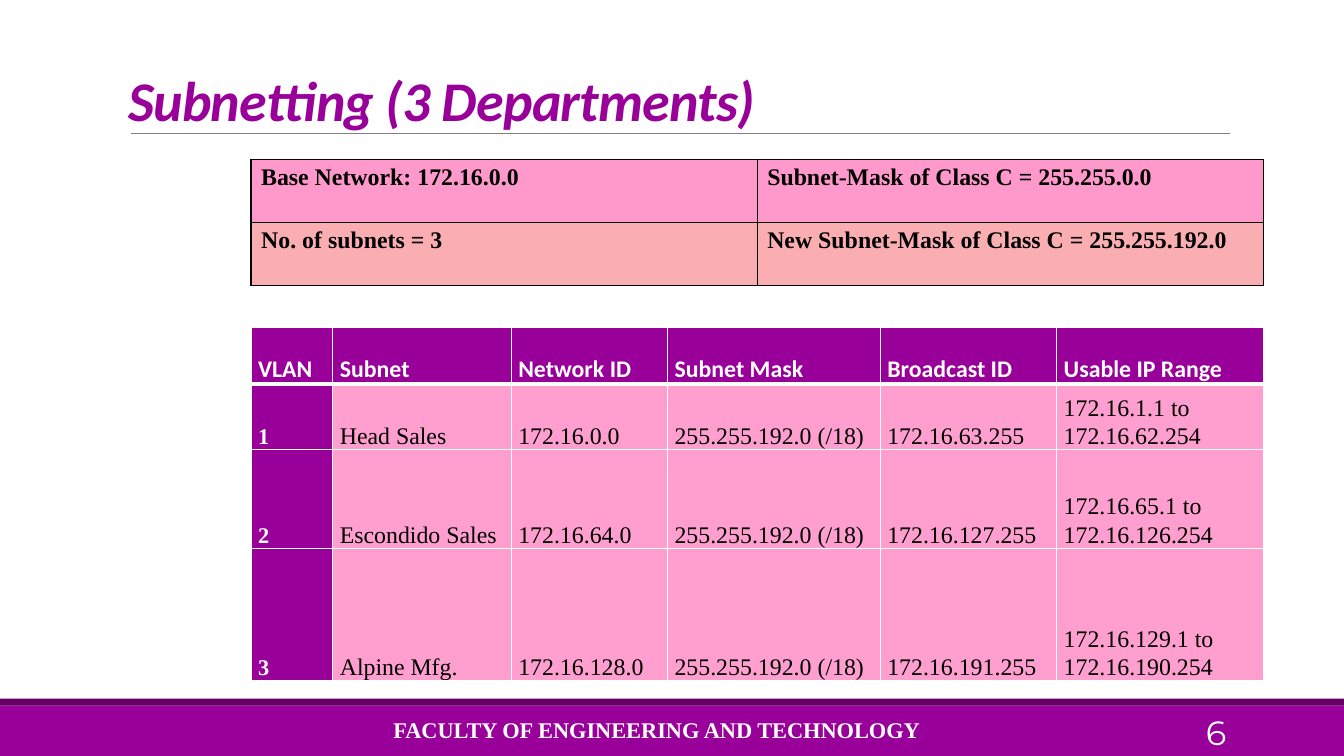
from dataclasses import dataclass

from lxml import etree
from pptx import Presentation
from pptx.dml.color import RGBColor
from pptx.enum.shapes import MSO_CONNECTOR, MSO_SHAPE
from pptx.enum.text import MSO_ANCHOR, MSO_AUTO_SIZE, PP_ALIGN
from pptx.oxml.ns import qn
from pptx.slide import Slide
from pptx.table import _Cell
from pptx.text.text import TextFrame, _Paragraph
from pptx.util import Inches, Pt

RECTANGLE = MSO_SHAPE.RECTANGLE
STRAIGHT = MSO_CONNECTOR.STRAIGHT
TOP, MIDDLE, BOTTOM = MSO_ANCHOR.TOP, MSO_ANCHOR.MIDDLE, MSO_ANCHOR.BOTTOM
LEFT, CENTER, RIGHT = PP_ALIGN.LEFT, PP_ALIGN.CENTER, PP_ALIGN.RIGHT

PURPLE = RGBColor(0x99, 0x00, 0x99)
DARK_PURPLE = RGBColor(0x66, 0x00, 0x66)
PINK = RGBColor(0xFF, 0x99, 0xCC)
SALMON = RGBColor(0xFB, 0xAE, 0xB2)
LIGHT_PINK = RGBColor(0xFF, 0x9F, 0xCF)
GREY = RGBColor(0x80, 0x80, 0x80)
BLACK = RGBColor(0, 0, 0)
WHITE = RGBColor(0xFF, 0xFF, 0xFF)

SLIDE_WIDTH, SLIDE_HEIGHT = Inches(13.33), Inches(7.5)
TABLE_LEFT = 18.68


@dataclass(frozen=True)
class Style:
    font: str
    size: float
    color: RGBColor
    bold: bool = False
    italic: bool = False


@dataclass(frozen=True)
class Area:
    """A rectangle in percent of the slide's width and height."""
    left: float
    top: float
    width: float
    height: float

    def box(self) -> tuple[int, int, int, int]:
        return across(self.left), down(self.top), across(self.width), down(self.height)


@dataclass(frozen=True)
class CellLook:
    style: Style
    fill: RGBColor
    top_border: float = 1
    bottom_border: float = 1


@dataclass(frozen=True)
class TableLook:
    border: RGBColor
    anchor: MSO_ANCHOR
    side_margin: float
    end_margin: float
    line_spacing: float


@dataclass(frozen=True)
class Band:
    area: Area
    color: RGBColor


@dataclass(frozen=True)
class FooterText:
    text: str
    area: Area
    align: PP_ALIGN
    style: Style


TITLE = Style("Calibri", 40, PURPLE, bold=True, italic=True)
SUMMARY = Style("Times New Roman", 17, BLACK, bold=True)
HEADER = CellLook(Style("Calibri", 17, WHITE, bold=True), PURPLE, bottom_border=3)
VLAN = Style("Times New Roman", 16, WHITE, bold=True)
ADDRESS = Style("Times New Roman", 17, BLACK)

SUMMARY_LOOK = TableLook(BLACK, TOP, 0.1, 0.05, 1)
SUBNET_LOOK = TableLook(WHITE, BOTTOM, 0.07, 0, 1.06)

BANDS = (
    Band(Area(0, 93.33, 100, 6.67), PURPLE),
    Band(Area(0, 92.4, 100, 0.93), DARK_PURPLE),
)
FOOTER = (
    FooterText("FACULTY OF ENGINEERING AND TECHNOLOGY", Area(27.98, 93.87, 41.79, 5.33),
               CENTER, Style("Times New Roman", 16, WHITE, bold=True)),
    FooterText("6", Area(81.25, 94.13, 10.73, 5.33), RIGHT, Style("Montserrat", 24, WHITE)),
)
SUMMARY_ROWS = (
    ("Base Network: 172.16.0.0", "Subnet-Mask of Class C = 255.255.0.0"),
    ("No. of subnets = 3", "New Subnet-Mask of Class C = 255.255.192.0"),
)
MASK = "255.255.192.0 (/18)"
SUBNET_ROWS = (
    ("VLAN", "Subnet", "Network ID", "Subnet Mask", "Broadcast ID", "Usable IP Range"),
    ("1", "Head Sales", "172.16.0.0", MASK, "172.16.63.255", "172.16.1.1 to 172.16.62.254"),
    ("2", "Escondido Sales", "172.16.64.0", MASK, "172.16.127.255",
     "172.16.65.1 to 172.16.126.254"),
    ("3", "Alpine Mfg.", "172.16.128.0", MASK, "172.16.191.255",
     "172.16.129.1 to 172.16.190.254"),
)


def across(percent: float) -> int:
    return round(SLIDE_WIDTH * percent / 100)


def down(percent: float) -> int:
    return round(SLIDE_HEIGHT * percent / 100)


def add_span(para: _Paragraph, text: str, style: Style) -> None:
    span = para.add_run()
    span.text = text
    span.font.name, span.font.size = style.font, Pt(style.size)
    span.font.bold, span.font.italic = style.bold, style.italic
    span.font.color.rgb = style.color


def fill_frame(frame: TextFrame, text: str, style: Style, anchor: MSO_ANCHOR,
               align: PP_ALIGN) -> _Paragraph:
    frame.word_wrap, frame.auto_size = True, MSO_AUTO_SIZE.NONE
    frame.vertical_anchor = anchor
    para = frame.paragraphs[0]
    para.alignment = align
    add_span(para, text, style)
    return para


def add_title(page: Slide, text: str) -> None:
    title = page.shapes.title
    title.left, title.top, title.width, title.height = Area(8.78, 5.07, 82.52, 13.2).box()
    para = fill_frame(title.text_frame, text, TITLE, BOTTOM, LEFT)
    para.line_spacing = 0.85
    para.runs[0].font._element.set("spc", "-50")


def add_rule(page: Slide) -> None:
    rule = page.shapes.add_connector(STRAIGHT, across(9.75), down(17.6), across(91.52), down(17.6))
    rule.line.color.rgb, rule.line.width = GREY, Pt(0.5)
    etree.SubElement(rule._element.spPr, qn("a:effectLst"))


def add_band(page: Slide, band: Band) -> None:
    box = page.shapes.add_shape(RECTANGLE, *band.area.box())
    box.shadow.inherit = False
    box.fill.solid()
    box.fill.fore_color.rgb = band.color
    box.line.fill.background()


def add_footer_text(page: Slide, item: FooterText) -> None:
    box = page.shapes.add_textbox(*item.area.box())
    fill_frame(box.text_frame, item.text, item.style, MIDDLE, item.align)


def add_borders(cell: _Cell, look: CellLook, color: RGBColor) -> None:
    """Put the four edges ahead of the fill, as the schema asks."""
    properties = cell._tc.get_or_add_tcPr()
    edges = (("L", 1), ("R", 1), ("T", look.top_border), ("B", look.bottom_border))
    for place, (side, width) in enumerate(edges):
        edge = etree.Element(qn(f"a:ln{side}"), w=str(Pt(width)))
        solid = etree.SubElement(edge, qn("a:solidFill"))
        etree.SubElement(solid, qn("a:srgbClr"), val=str(color))
        properties.insert(place, edge)


def fill_cell(cell: _Cell, text: str, look: CellLook, table_look: TableLook) -> None:
    cell.margin_left = cell.margin_right = Inches(table_look.side_margin)
    cell.margin_top = cell.margin_bottom = Inches(table_look.end_margin)
    cell.vertical_anchor = table_look.anchor
    cell.fill.solid()
    cell.fill.fore_color.rgb = look.fill
    para = cell.text_frame.paragraphs[0]
    para.line_spacing = table_look.line_spacing
    add_span(para, text, look.style)
    add_borders(cell, look, table_look.border)


def add_table(page: Slide, top: float, widths: tuple, heights: tuple, rows: tuple,
              looks: list[list[CellLook]], table_look: TableLook) -> None:
    area = Area(TABLE_LEFT, top, sum(widths), sum(heights))
    table = page.shapes.add_table(len(rows), len(widths), *area.box()).table
    for column, width in zip(table.columns, widths):
        column.width = across(width)
    for row, height, texts, row_looks in zip(table.rows, heights, rows, looks):
        row.height = down(height)
        for cell, text, look in zip(row.cells, texts, row_looks):
            fill_cell(cell, text, look, table_look)


def main() -> None:
    deck = Presentation()
    deck.slide_width, deck.slide_height = SLIDE_WIDTH, SLIDE_HEIGHT
    page = deck.slides.add_slide(deck.slide_layouts.get_by_name("Title Only"))
    for band in BANDS:
        add_band(page, band)
    add_rule(page)
    add_title(page, "Subnetting (3 Departments)")
    for item in FOOTER:
        add_footer_text(page, item)

    summary_looks = [[CellLook(SUMMARY, fill)] * 2 for fill in (PINK, SALMON)]
    add_table(page, 21.07, (37.66,) * 2, (8.33,) * 2, SUMMARY_ROWS, summary_looks, SUMMARY_LOOK)

    subnet_looks = [[HEADER] * 6]
    for top_border in (HEADER.bottom_border, 1, 1):
        subnet_looks.append([CellLook(VLAN, PURPLE, top_border)]
                            + [CellLook(ADDRESS, LIGHT_PINK, top_border)] * 5)
    add_table(page, 43.33, (6.08, 13.28, 11.63, 15.83, 13.13, 15.38),
              (7.47, 8.67, 13.07, 17.47), SUBNET_ROWS, subnet_looks, SUBNET_LOOK)
    deck.save("out.pptx")


if __name__ == "__main__":
    main()
